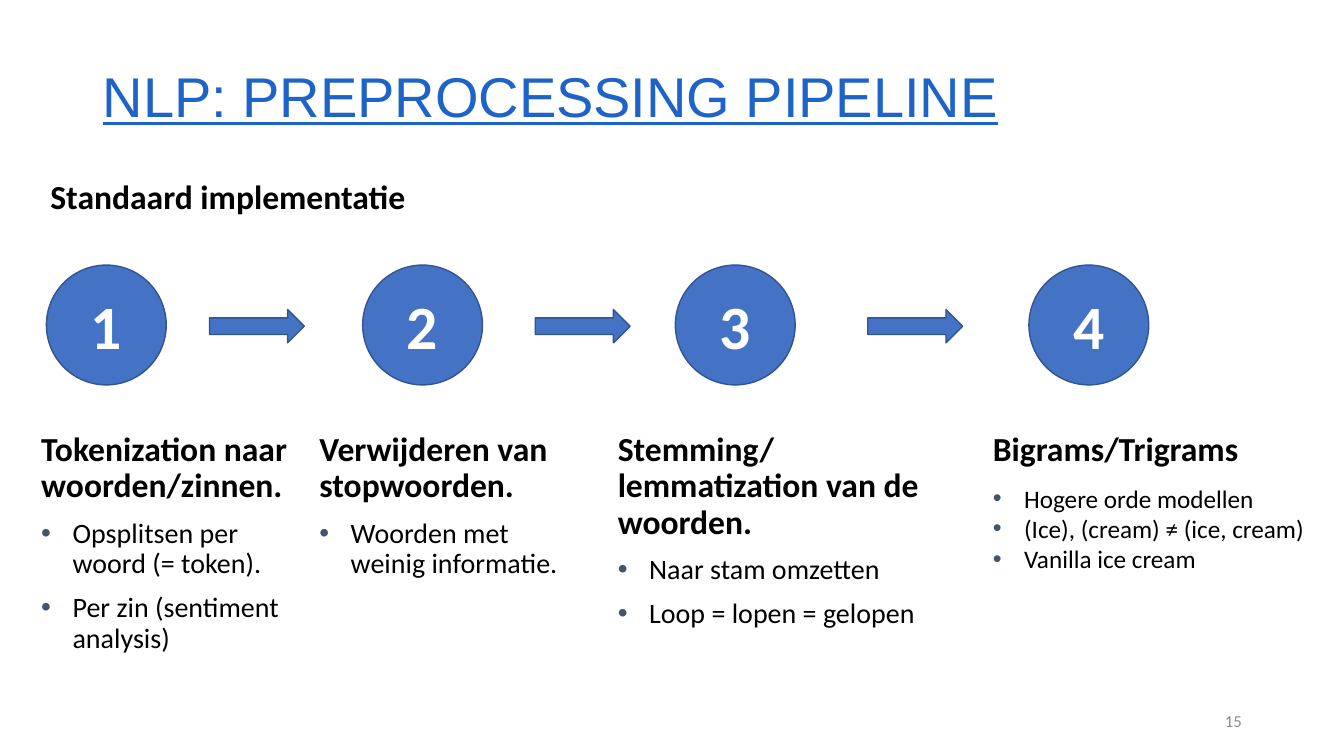
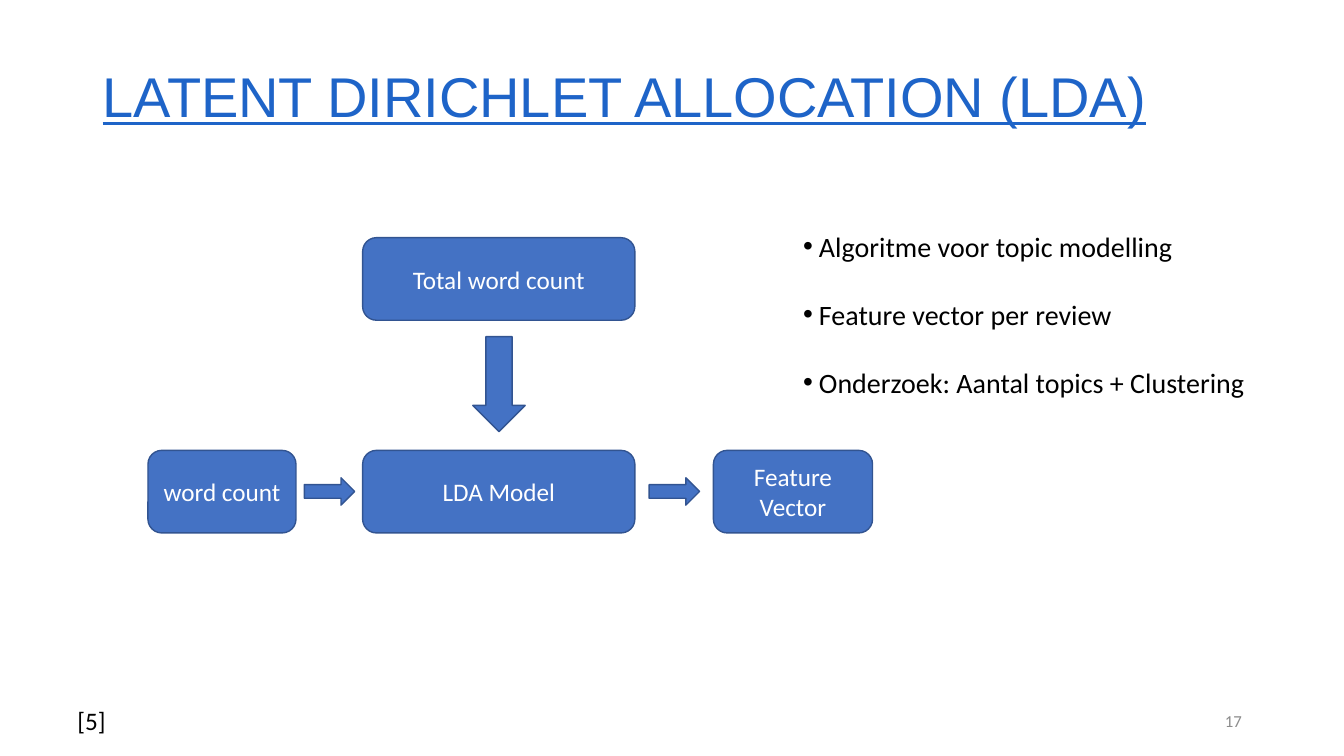
"""Build two slides on text preprocessing and topic modelling."""
from dataclasses import dataclass
from typing import NamedTuple, Optional

from lxml.etree import SubElement as Sub
from pptx import Presentation
from pptx.dml.color import RGBColor as Rgb
from pptx.enum.shapes import MSO_SHAPE as Kind
from pptx.enum.text import MSO_ANCHOR as Anchor, PP_ALIGN as Align
from pptx.oxml.ns import qn
from pptx.util import Cm, Pt


@dataclass(frozen=True)
class Theme:
    blue: str = "4472C4"
    edge: str = "325491"
    title: str = "1E64C8"
    slate: str = "44546A"
    grey: str = "8C8C8C"
    black: str = "000000"
    white: str = "FFFFFF"
    body: str = "Calibri"
    head: str = "Arial"
    huge: int = 44
    large: int = 40
    lead: int = 24
    text: int = 20
    small: int = 18
    foot: int = 12


T = Theme()


class Box(NamedTuple):
    left: float
    top: float
    width: float
    height: float


@dataclass(frozen=True)
class Style:
    size: int
    color: str = T.black
    font: str = T.body
    bold: bool = False
    under: bool = False
    align: Align = Align.LEFT
    line: float = 1.0
    before: float = 0
    after: float = 0
    hang: float = 0
    dot: str = T.black


class Para(NamedTuple):
    text: str
    style: Style


class Step(NamedTuple):
    disc: float
    left: float
    width: float
    head: str
    points: list[str]
    style: Style


class Node(NamedTuple):
    text: str
    box: Box


class Arrow(NamedTuple):
    box: Box
    turn: int = 0


TITLE = Style(T.large, T.title, T.head, under=True, line=0.9)
PAGE = Style(T.foot, T.grey, align=Align.RIGHT)
LEAD = Style(T.lead, bold=True, line=0.9, after=10)
POINT = Style(T.text, line=0.9, after=10, hang=0.79, dot=T.slate)
TIGHT = Style(T.small, hang=0.79, dot=T.slate)
DISC = Style(T.huge, T.white, bold=True, align=Align.CENTER)
LABEL = Style(T.small, T.white, align=Align.CENTER)
NOTE = Style(T.text, hang=0.4)
GAP = Style(T.text, hang=0.4, before=24.4)
CITE = Style(T.small)

STEPS = [
    Step(1.17, 1.04, 6.63, "Tokenization naar woorden/zinnen.",
         ["Opsplitsen per woord (= token).", "Per zin (sentiment analysis)"], POINT),
    Step(9.14, 8.05, 6.63, "Verwijderen van stopwoorden.",
         ["Woorden met weinig informatie."], POINT),
    Step(17.02, 15.57, 7.9, "Stemming/lemmatization van de woorden.",
         ["Naar stam omzetten", "Loop = lopen = gelopen"], POINT),
    Step(25.93, 25.02, 8.84, "Bigrams/Trigrams",
         ["Hogere orde modellen", "(Ice), (cream) ≠ (ice, cream)", "Vanilla ice cream"], TIGHT),
]
LINKS = [5.28, 13.49, 21.87]

ROW, TALL = 11.35, 2.08
NODES = [
    Node("Total word count", Box(9.14, 5.99, 6.86, TALL)),
    Node("LDA Model", Box(9.14, ROW, 6.86, TALL)),
    Node("word count", Box(3.73, ROW, 3.73, TALL)),
    Node("Feature Vector", Box(17.98, ROW, 4.01, TALL)),
]
FLOWS = [
    Arrow(Box(11.38, 9.02, 2.39, 1.32), 90),
    Arrow(Box(7.67, 12.04, 1.27, 0.69)),
    Arrow(Box(16.36, 12.04, 1.27, 0.69)),
]
NOTES = [
    Para("Algoritme voor topic modelling", NOTE),
    Para("Feature vector per review", GAP),
    Para("Onderzoek: Aantal topics + Clustering", GAP),
]


def place(box: Box) -> list[Cm]:
    return [Cm(n) for n in box]


def bullet(par, style: Style) -> None:
    props = par._p.get_or_add_pPr()
    props.set("marL", str(Cm(style.hang)))
    props.set("indent", str(-Cm(style.hang)))
    Sub(Sub(props, qn("a:buClr")), qn("a:srgbClr"), val=style.dot)
    Sub(props, qn("a:buFont"), typeface="Arial")
    Sub(props, qn("a:buChar"), char="•")


def write(frame, paras: list[Para]) -> None:
    for i, (text, style) in enumerate(paras):
        par = frame.add_paragraph() if i else frame.paragraphs[0]
        par.text = text
        par.alignment = style.align
        par.line_spacing = style.line
        par.space_before = Pt(style.before)
        par.space_after = Pt(style.after)
        if style.hang:
            bullet(par, style)
        for run in par.runs:
            font = run.font
            font.name, font.size = style.font, Pt(style.size)
            font.bold, font.underline = style.bold, style.under
            font.color.rgb = Rgb.from_string(style.color)


def label(slide, box: Box, paras: list[Para], anchor: Anchor = Anchor.TOP,
          inset: bool = True, wrap: bool = True) -> None:
    frame = slide.shapes.add_textbox(*place(box)).text_frame
    frame.word_wrap, frame.vertical_anchor = wrap, anchor
    if not inset:
        frame.margin_left = frame.margin_right = 0
        frame.margin_top = frame.margin_bottom = 0
    write(frame, paras)


def shape(slide, kind: Kind, box: Box, para: Optional[Para] = None, turn: int = 0) -> None:
    item = slide.shapes.add_shape(kind, *place(box))
    item.shadow.inherit = False
    item.rotation = turn
    item.fill.solid()
    item.fill.fore_color.rgb = Rgb.from_string(T.blue)
    item.line.color.rgb = Rgb.from_string(T.edge)
    item.line.width = Pt(1)
    if para:
        item.text_frame.vertical_anchor = Anchor.MIDDLE
        write(item.text_frame, [para])


def start(deck, title: str, page: int):
    slide = deck.slides.add_slide(deck.slide_layouts[6])
    label(slide, Box(2.34, 0.66, 29.39, 3.68), [Para(title, TITLE)], Anchor.MIDDLE)
    label(slide, Box(23.93, 17.65, 7.62, 1.02), [Para(str(page), PAGE)], Anchor.MIDDLE)
    return slide


def steps(deck) -> None:
    slide = start(deck, "NLP: PREPROCESSING PIPELINE", 15)
    label(slide, Box(1.27, 4.55, 24.99, 1.5), [Para("Standaard implementatie", LEAD)], inset=False)
    for i, step in enumerate(STEPS, 1):
        shape(slide, Kind.OVAL, Box(step.disc, 6.68, 3.02, 3.02), Para(str(i), DISC))
        paras = [Para(step.head, LEAD)] + [Para(p, step.style) for p in step.points]
        label(slide, Box(step.left, 10.9, step.width, 7.37), paras, inset=False)
    for left in LINKS:
        shape(slide, Kind.RIGHT_ARROW, Box(left, 7.8, 2.39, 0.84))


def model(deck) -> None:
    slide = start(deck, "LATENT DIRICHLET ALLOCATION (LDA)", 17)
    for node in NODES:
        shape(slide, Kind.ROUNDED_RECTANGLE, node.box, Para(node.text, LABEL))
    for flow in FLOWS:
        shape(slide, Kind.RIGHT_ARROW, flow.box, turn=flow.turn)
    label(slide, Box(19.99, 5.66, 12.42, 4.52), NOTES)
    label(slide, Box(1.7, 17.65, 1.22, 1.02), [Para("[5]", CITE)], wrap=False)


def main() -> None:
    deck = Presentation()
    deck.slide_width, deck.slide_height = Cm(33.87), Cm(19.05)
    steps(deck)
    model(deck)
    deck.save("out.pptx")


if __name__ == "__main__":
    main()
